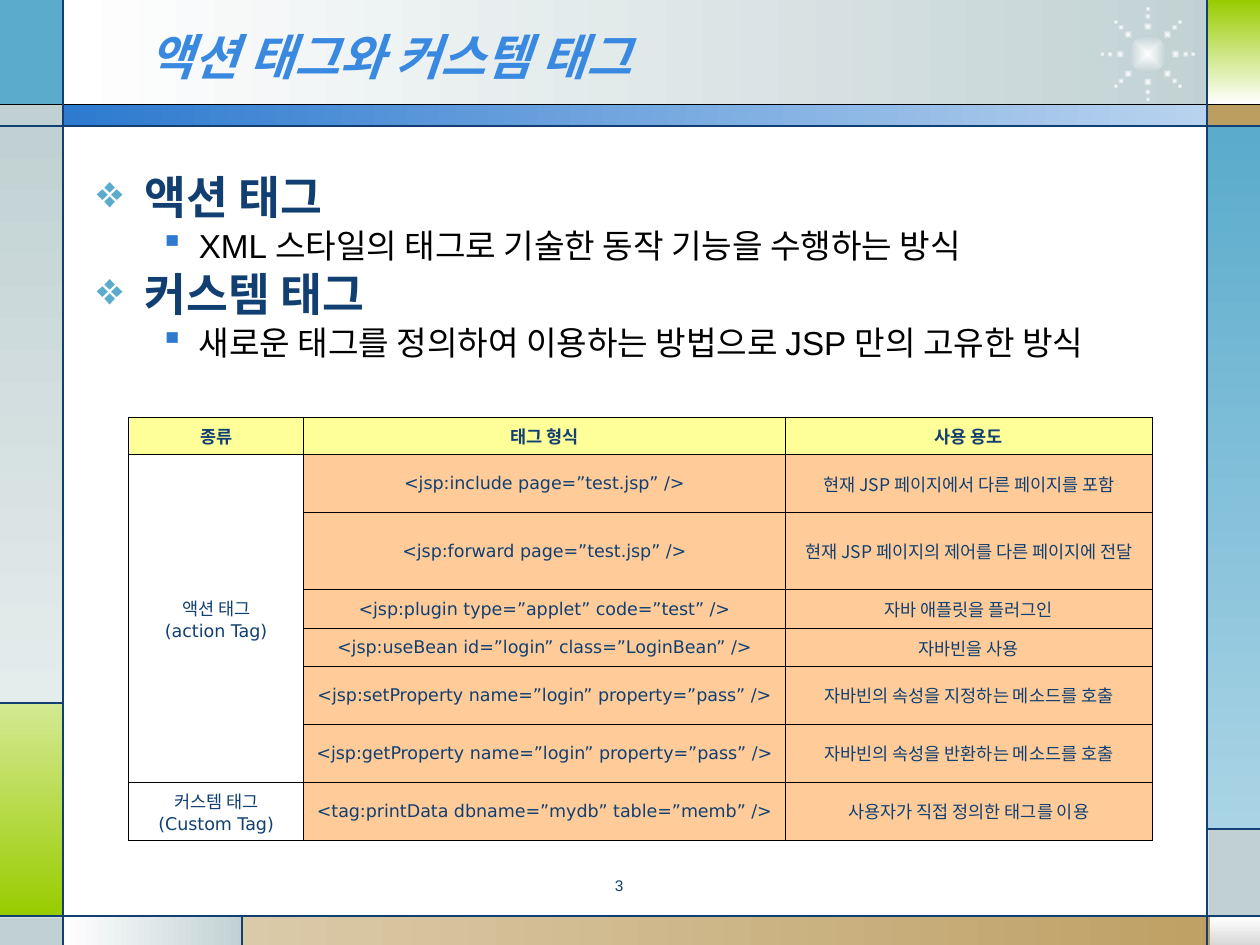
import math
import pptx
import pptx.util
import pptx.dml.color
import pptx.enum.shapes
import pptx.enum.text
import pptx.oxml
import pptx.oxml.ns
from pptx.util import Inches

KOREAN = "Noto Sans CJK KR"
NAVY, GRAY, SKY, BLUE, GOLD, LIME = "113F71", "C1D1D3", "5AABCC", "2D7ACF", "BD9E61", "99CC00"

PANELS = [
    (0.5, 0, 9.27, 0.84, ("FFFFFF", GRAY), 0),
    (0, 0, 0.5, 0.84, (SKY,), 0),
    (0, 0.83, 0.5, 0.17, (GRAY,), 0),
    (0, 1, 0.5, 4.58, (GRAY, "E5ECEC"), 90),
    (0, 5.58, 0.5, 1.69, ("D4E993", LIME), 90),
    (0, 7.28, 0.5, 0.22, (GRAY,), 0),
    (0.5, 7.27, 1.43, 0.23, ("FFFFFF", GRAY), 0),
    (1.92, 7.27, 8.08, 0.23, ("DBCAA9", GOLD), 0),
    (9.6, 7.28, 0.4, 0.22, ("FFFFFF", "D8D8D8"), 90),
    (9.59, 6.58, 0.41, 0.7, (GRAY,), 0),
    (9.58, 1, 0.42, 5.58, (SKY, "AAD4E5"), 90),
    (9.58, 0.83, 0.42, 0.17, (GOLD,), 0),
    (9.59, 0, 0.41, 0.83, (LIME, "FFFFFF"), 90),
    (0.5, 0.83, 9.09, 0.17, (BLUE, "B9D3EF"), 0),
]

STAR_CENTER = (9.11, 0.43)
STAR_CORE = 0.3
STAR_RAYS = 8
RAY_DOTS = [(0.22, 0.07), (0.3, 0.05), (0.36, 0.04)]

LINES = [
    (0, 0.83, 10, 0.83, "000000"),
    (0, 1, 10, 1, NAVY),
    (0, 7.27, 10, 7.27, NAVY),
    (0.5, 0, 0.5, 7.5, NAVY),
    (9.58, 0, 9.58, 7.5, NAVY),
    (0.5, 5.58, 0, 5.58, NAVY),
    (1.92, 7.27, 1.92, 7.5, NAVY),
    (9.58, 6.58, 10, 6.58, NAVY),
]

TITLE = "액션 태그와 커스템 태그"
BODY = [
    (0, "액션 태그"),
    (1, "XML 스타일의 태그로 기술한 동작 기능을 수행하는 방식"),
    (0, "커스템 태그"),
    (1, "새로운 태그를 정의하여 이용하는 방법으로 JSP 만의 고유한 방식"),
]
LEVELS = [
    dict(margin=0.38, hang=0.38, before=6.5, bullet="❖", bullet_color=SKY,
         size=26, color=NAVY, name=KOREAN, bold=True),
    dict(margin=0.81, hang=0.31, before=4.8, bullet="▪", bullet_color=BLUE,
         size=19, color="000000", name="Arial", bold=False),
]

COLUMNS = [1.39, 3.82, 2.92]
ROW_HEIGHTS = [0.3, 0.46, 0.61, 0.31, 0.3, 0.46, 0.46, 0.46]
ROWS = [
    ("종류", "태그 형식", "사용 용도"),
    ("액션 태그\n(action Tag)", "<jsp:include page=”test.jsp” />", "현재 JSP 페이지에서 다른 페이지를 포함"),
    ("", "<jsp:forward page=”test.jsp” />", "현재 JSP 페이지의 제어를 다른 페이지에 전달"),
    ("", "<jsp:plugin type=”applet” code=”test” />", "자바 애플릿을 플러그인"),
    ("", "<jsp:useBean id=”login” class=”LoginBean” />", "자바빈을 사용"),
    ("", "<jsp:setProperty name=”login” property=”pass” />", "자바빈의 속성을 지정하는 메소드를 호출"),
    ("", "<jsp:getProperty name=”login” property=”pass” />", "자바빈의 속성을 반환하는 메소드를 호출"),
    ("커스템 태그\n(Custom Tag)", "<tag:printData dbname=”mydb” table=”memb” />", "사용자가 직접 정의한 태그를 이용"),
]


def rgb(value):
    return pptx.dml.color.RGBColor.from_string(value)


def add_xml(parent, tag, **attrs):
    el = pptx.oxml.parse_xml(f'<a:{tag} {pptx.oxml.ns.nsdecls("a")}/>')
    for key, value in attrs.items():
        el.set(key, str(value))
    parent.append(el)
    return el


def set_font(p, size, color, name, bold=False, italic=False):
    f = p.font
    f.size, f.bold, f.italic, f.name = pptx.util.Pt(size), bold, italic, name
    f.color.rgb = rgb(color)
    add_xml(p._p.pPr.find(pptx.oxml.ns.qn("a:defRPr")), "ea", typeface=KOREAN)


def add_panel(s, kind, x, y, w, h, colors, angle):
    sp = s.shapes.add_shape(kind, Inches(x), Inches(y), Inches(w), Inches(h))
    sp.shadow.inherit = False
    sp.line.fill.background()
    if len(colors) == 1:
        sp.fill.solid()
        sp.fill.fore_color.rgb = rgb(colors[0])
        return sp
    sp.fill.gradient()
    sp.fill.gradient_angle = -angle % 360
    for stop, color, position in zip(sp.fill.gradient_stops, colors, (0, 1)):
        stop.color.rgb = rgb(color)
        stop.position = position
    return sp


def add_star_dot(s, x, y, size):
    sp = add_panel(s, pptx.enum.shapes.MSO_SHAPE.OVAL, x - size / 2, y - size / 2,
                   size, size, ("FFFFFF", GRAY), 0)
    grad = sp._element.spPr.find(pptx.oxml.ns.qn("a:gradFill"))
    grad.remove(grad.find(pptx.oxml.ns.qn("a:lin")))
    add_xml(add_xml(grad, "path", path="rect"), "fillToRect", l=50000, t=50000, r=50000, b=50000)


def add_star(s):
    cx, cy = STAR_CENTER
    add_star_dot(s, cx, cy, STAR_CORE)
    for ray in range(STAR_RAYS):
        angle = 2 * math.pi * ray / STAR_RAYS
        for radius, size in RAY_DOTS:
            add_star_dot(s, cx + radius * math.cos(angle), cy + radius * math.sin(angle), size)


def add_line(s, x1, y1, x2, y2, color):
    line = s.shapes.add_connector(pptx.enum.shapes.MSO_CONNECTOR.STRAIGHT,
                                  Inches(x1), Inches(y1), Inches(x2), Inches(y2))
    line.line.color.rgb = rgb(color)
    line.line.width = pptx.util.Pt(0.75)
    add_xml(line._element.spPr, "effectLst")


def add_text(s, x, y, w, h):
    tf = s.shapes.add_textbox(Inches(x), Inches(y), Inches(w), Inches(h)).text_frame
    tf.word_wrap = True
    return tf


def add_body(s):
    tf = add_text(s, 0.67, 1.37, 8.77, 1.94)
    for i, (level, text) in enumerate(BODY):
        look = LEVELS[level]
        p = tf.add_paragraph() if i else tf.paragraphs[0]
        p.text = text
        p.level = level
        p.line_spacing = 0.82
        if i:
            p.space_before = pptx.util.Pt(look["before"])
        pPr = p._p.get_or_add_pPr()
        pPr.set("marL", str(Inches(look["margin"])))
        pPr.set("indent", str(-Inches(look["hang"])))
        add_xml(add_xml(pPr, "buClr"), "srgbClr", val=look["bullet_color"])
        add_xml(pPr, "buChar", char=look["bullet"])
        set_font(p, look["size"], look["color"], look["name"], look["bold"])


def add_borders(cell):
    tcPr = cell._tc.get_or_add_tcPr()
    for side in ("lnL", "lnR", "lnT", "lnB"):
        ln = add_xml(tcPr, side, w=pptx.util.Pt(0.45))
        add_xml(add_xml(ln, "solidFill"), "srgbClr", val="000000")


def fill_cell(cell, text, row, col):
    cell.margin_left = cell.margin_right = cell.margin_top = cell.margin_bottom = Inches(0.05)
    cell.vertical_anchor = pptx.enum.text.MSO_ANCHOR.MIDDLE
    add_borders(cell)
    if row and not col:
        cell.fill.background()
    else:
        cell.fill.solid()
        cell.fill.fore_color.rgb = rgb("FFCC99" if row else "FFFF99")
    tf = cell.text_frame
    before, term, after = text.partition("JSP ")
    if term:
        for part in (before, term, after):
            r = tf.paragraphs[0].add_run()
            r.text = part
            if part == term:
                r.font.name = KOREAN
    else:
        tf.text = text
    for p in tf.paragraphs:
        p.alignment = pptx.enum.text.PP_ALIGN.CENTER
        set_font(p, 10, NAVY, "DejaVu Sans", bold=row == 0)


def add_tag_table(s):
    table = s.shapes.add_table(len(ROWS), len(COLUMNS), Inches(1.02), Inches(3.31),
                               Inches(sum(COLUMNS)), Inches(sum(ROW_HEIGHTS))).table
    table.first_row = table.horz_banding = False
    for column, width in zip(table.columns, COLUMNS):
        column.width = Inches(width)
    for i, (height, texts) in enumerate(zip(ROW_HEIGHTS, ROWS)):
        table.rows[i].height = Inches(height)
        for j, text in enumerate(texts):
            fill_cell(table.cell(i, j), text, i, j)
    table.cell(1, 0).merge(table.cell(6, 0))


def main():
    prs = pptx.Presentation()
    prs.slide_width, prs.slide_height = Inches(10), Inches(7.5)
    s = prs.slides.add_slide(prs.slide_layouts[6])
    for panel in PANELS:
        add_panel(s, pptx.enum.shapes.MSO_SHAPE.RECTANGLE, *panel)
    add_star(s)
    for line in LINES:
        add_line(s, *line)

    tf = add_text(s, 1.08, 0.13, 7.33, 0.62)
    tf.vertical_anchor = pptx.enum.text.MSO_ANCHOR.MIDDLE
    tf.text = TITLE
    set_font(tf.paragraphs[0], 28, "3989E1", KOREAN, bold=True, italic=True)

    add_body(s)
    add_tag_table(s)

    tf = add_text(s, 3.75, 6.93, 2.33, 0.27)
    tf.text = "3"
    p = tf.paragraphs[0]
    p.alignment = pptx.enum.text.PP_ALIGN.CENTER
    p.line_spacing = 0.8
    set_font(p, 8.8, NAVY, "Arial")
    prs.save("out.pptx")


if __name__ == "__main__":
    main()
